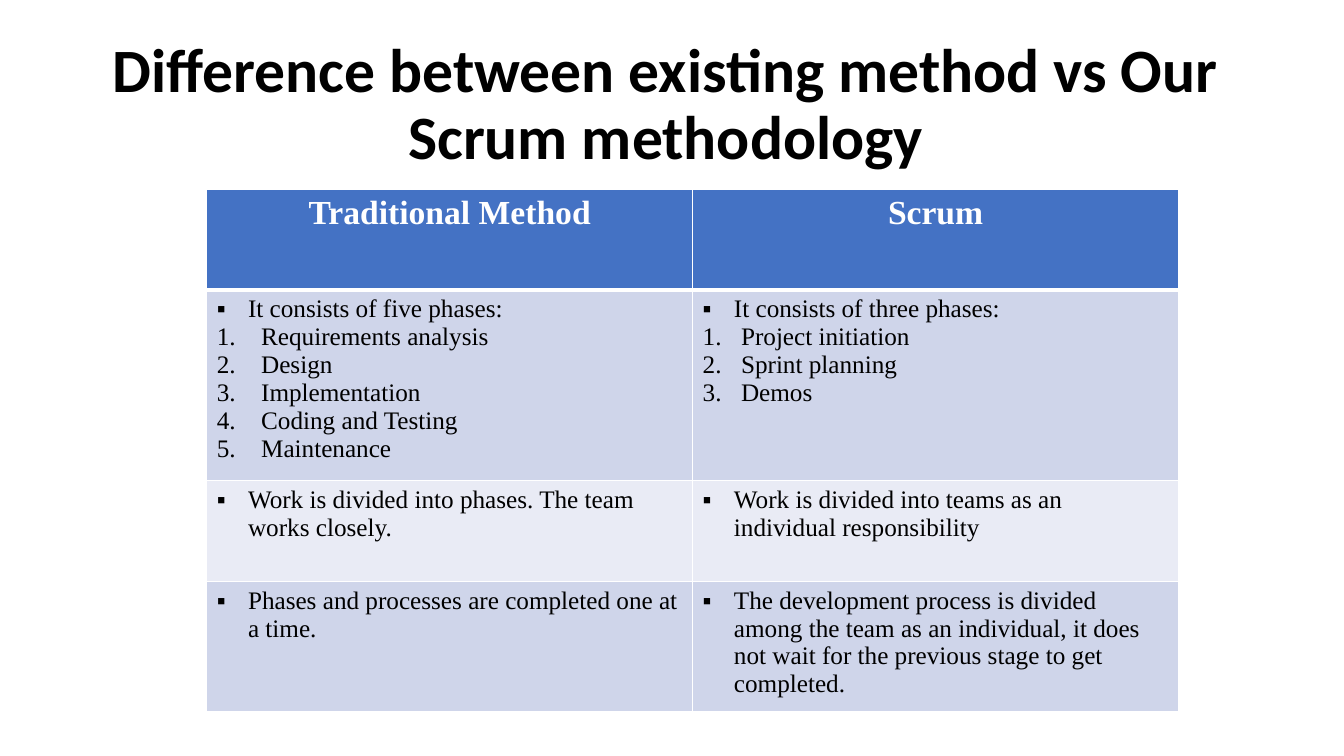
from lxml import etree
from pptx import Presentation
from pptx import util as u
from pptx.dml.color import RGBColor
from pptx.enum import text
from pptx.oxml import ns

COLORS = {"ink": "000000", "white": "FFFFFF", "header": "4472C4",
          "band_dark": "CFD5EA", "band_light": "E9EBF5"}
TITLE = {"name": "Calibri", "size": u.Pt(44), "bold": True}
HEADING = {"name": "Times New Roman", "size": u.Pt(24), "bold": True}
BODY = {"name": "Times New Roman", "size": u.Pt(18), "bold": False}

HEADINGS = ["Traditional Method", "Scrum"]
# Each cell holds its bulleted statement and the numbered phases below it.
COMPARISON = [
    [("It consists of five phases:",
      ["Requirements analysis", "Design", "Implementation",
       "Coding and Testing", "Maintenance"]),
     ("It consists of three phases:",
      ["Project initiation", "Sprint planning", "Demos"])],
    [("Work is divided into phases. The team works closely.", []),
     ("Work is divided into teams as an individual responsibility", [])],
    [("Phases and processes are completed one at a time.", []),
     ("The development process is divided among the team as an individual, "
      "it does not wait for the previous stage to get completed.", [])],
]
ROW_HEIGHTS = [1, 1.89, 1, 1.29]
BULLET_INDENT = 0.31
NUMBER_INDENTS = [0.44, 0.38]


def write(para, words, style, color):
    """Add one formatted span to a paragraph."""
    span = para.add_run()
    span.text = words
    for name, value in style.items():
        setattr(span.font, name, value)
    span.font.color.rgb = RGBColor.from_string(COLORS[color])


def mark(para, indent, tag, **attributes):
    """Give a paragraph a hanging indent and a bullet or number."""
    props = para._p.get_or_add_pPr()
    props.set("marL", str(u.Inches(indent)))
    props.set("indent", str(-u.Inches(indent)))
    etree.SubElement(props, ns.qn("a:buFont"), typeface=BODY["name"])
    etree.SubElement(props, ns.qn(tag), **attributes)


def paint(cell, color, bottom=1):
    """Set a cell's white borders and its fill."""
    props = cell._tc.get_or_add_tcPr()
    for side, width in {"L": 1, "R": 1, "T": 1, "B": bottom}.items():
        line = etree.SubElement(props, ns.qn(f"a:ln{side}"), w=str(u.Pt(width)))
        solid = etree.SubElement(line, ns.qn("a:solidFill"))
        etree.SubElement(solid, ns.qn("a:srgbClr"), val=COLORS["white"])
    cell.fill.solid()
    cell.fill.fore_color.rgb = RGBColor.from_string(COLORS[color])


def fill_title(page, box):
    """Place the centred heading in the title placeholder."""
    title = page.shapes.title
    title.left, title.top, title.width, title.height = map(u.Inches, box)
    frame = title.text_frame
    settings = {"word_wrap": True, "auto_size": text.MSO_AUTO_SIZE.NONE,
                "vertical_anchor": text.MSO_ANCHOR.BOTTOM}
    for name, value in settings.items():
        setattr(frame, name, value)
    para = frame.paragraphs[0]
    para.alignment = text.PP_ALIGN.CENTER
    para.line_spacing = 0.9
    write(para, "Difference between existing method vs Our Scrum methodology",
          TITLE, "ink")


def fill_cell(cell, statement, phases, number_indent):
    """Write a bulleted statement and its numbered phases."""
    para = cell.text_frame.paragraphs[0]
    write(para, statement, BODY, "ink")
    mark(para, BULLET_INDENT, "a:buChar", char="▪")
    for phase in phases:
        para = cell.text_frame.add_paragraph()
        write(para, phase, BODY, "ink")
        mark(para, number_indent, "a:buAutoNum", type="arabicPeriod")


def add_comparison(page, box):
    """Place the table that sets the two methods side by side."""
    frame = page.shapes.add_table(len(ROW_HEIGHTS), len(HEADINGS),
                                  *map(u.Inches, box))
    table = frame.table
    for row, height in zip(table.rows, ROW_HEIGHTS):
        row.height = u.Inches(height)
    for col, heading in enumerate(HEADINGS):
        cell = table.cell(0, col)
        paint(cell, "header", bottom=3)
        para = cell.text_frame.paragraphs[0]
        para.alignment = text.PP_ALIGN.CENTER
        write(para, heading, HEADING, "white")
    for row, entries in enumerate(COMPARISON, start=1):
        for col, (statement, phases) in enumerate(entries):
            cell = table.cell(row, col)
            paint(cell, "band_dark" if row % 2 else "band_light")
            fill_cell(cell, statement, phases, NUMBER_INDENTS[col])


def build_page(deck):
    """Build the comparison page on the title layout."""
    page = deck.slides.add_slide(deck.slide_layouts[0])
    subtitle = page.placeholders[1].element
    subtitle.getparent().remove(subtitle)
    fill_title(page, (0.23, 0.3, 12.75, 1.46))
    add_comparison(page, (2.05, 1.88, 9.64, sum(ROW_HEIGHTS)))


deck = Presentation()
deck.slide_width, deck.slide_height = u.Inches(13.33), u.Inches(7.5)
build_page(deck)
deck.save("out.pptx")
